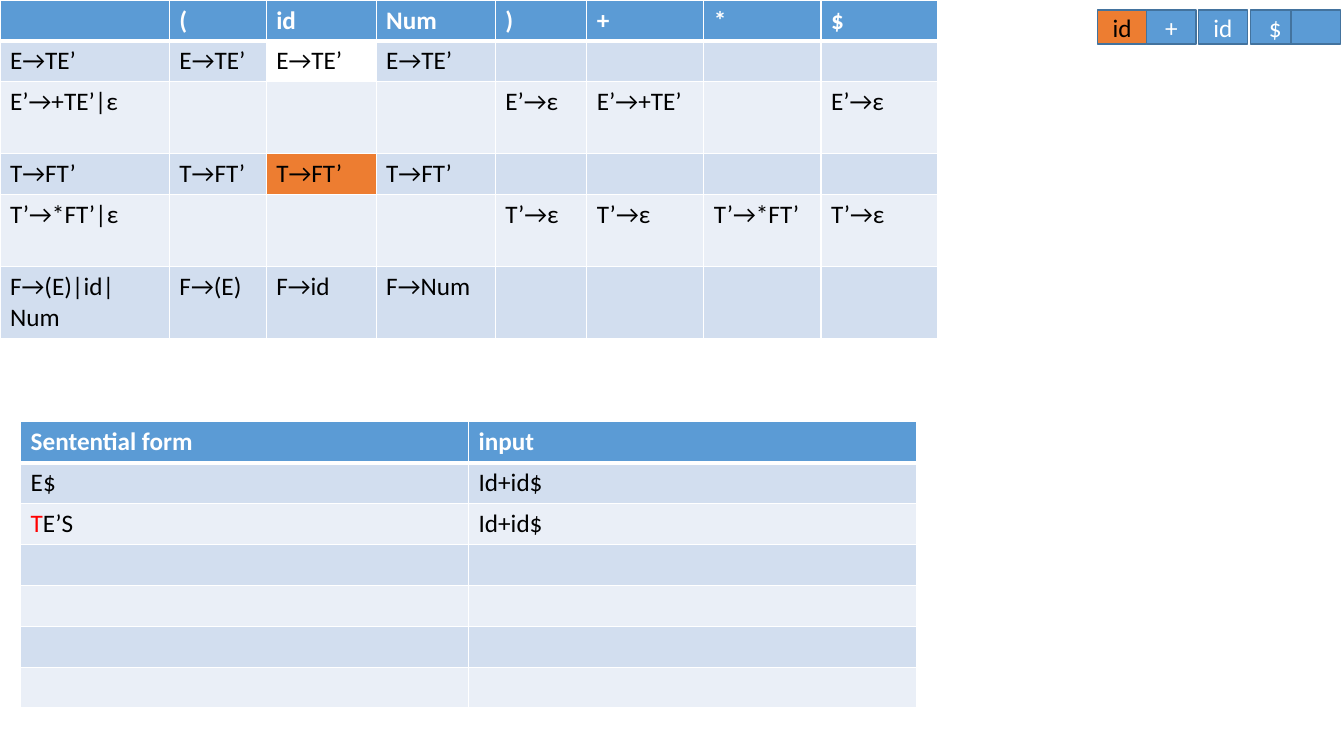
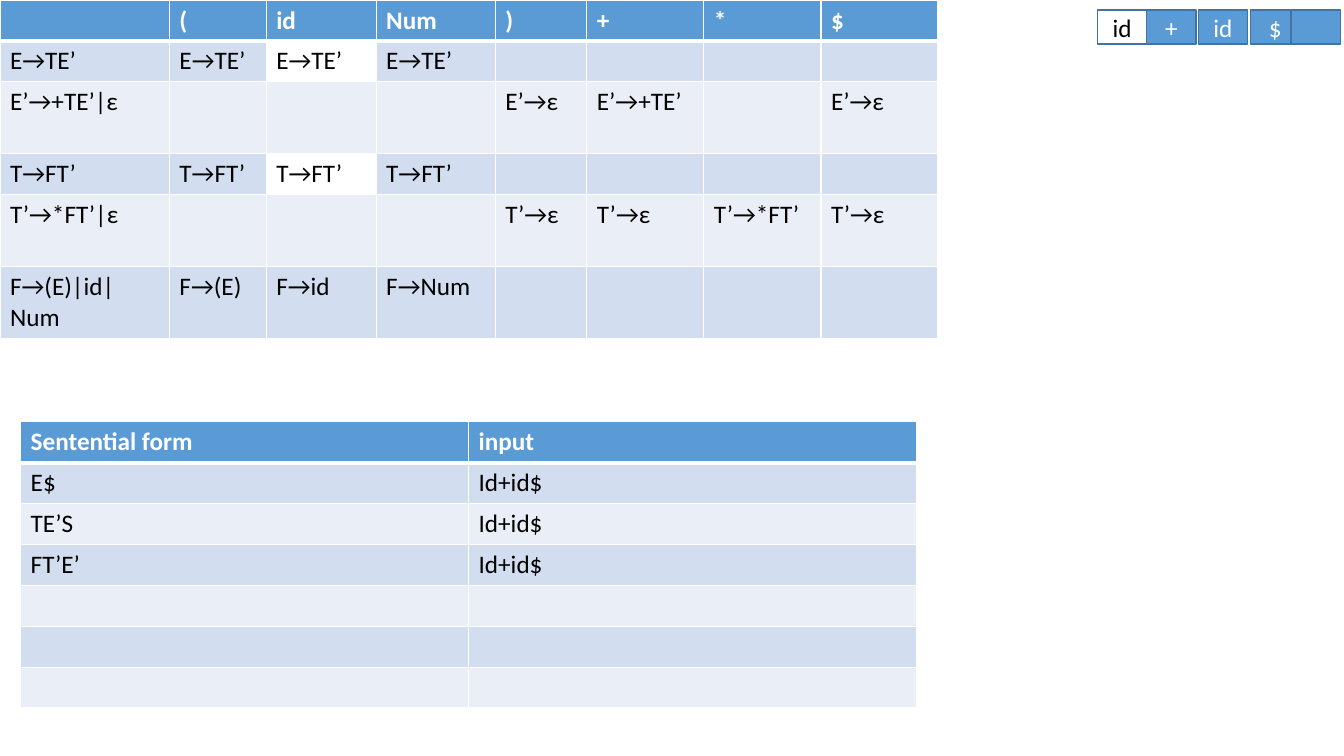
from lxml import etree
from pptx import Presentation
from pptx.dml.color import RGBColor
from pptx.enum.shapes import MSO_SHAPE
from pptx.enum.text import MSO_ANCHOR, PP_ALIGN
from pptx.oxml.ns import qn
from pptx.util import Cm, Pt

RECTANGLE = MSO_SHAPE.RECTANGLE
MIDDLE = MSO_ANCHOR.MIDDLE
CENTER = PP_ALIGN.CENTER

COLORS = {
    "white": "FFFFFF",
    "black": "000000",
    "red": "FF0000",
    "blue": "5B9BD5",
    "outline": "43739E",
    "odd_band": "D2DEEF",
    "even_band": "EAEFF7",
    "orange": "ED7D31",
}
BODY_FONT = {"name": "Calibri", "size": Pt(18), "bold": False}
HEADER_FONT = {**BODY_FONT, "bold": True}

ROW = 1.03
TALL_ROW = 1.81
PARSE_BOX = (0, 0)
PARSE_WIDTHS = [4.27, 2.44, 2.77, 3, 2.31, 2.95, 2.95, 2.95]
PARSE_HEIGHTS = [ROW, ROW, TALL_ROW, ROW, TALL_ROW, TALL_ROW]
PARSE_ROWS = [
    ["", "(", "id", "Num", ")", "+", "*", "$"],
    ["E→TE’", "E→TE’", "E→TE’", "E→TE’", "", "", "", ""],
    ["E’→+TE’|ε", "", "", "", "E’→ε", "E’→+TE’", "", "E’→ε"],
    ["T→FT’", "T→FT’", "T→FT’", "T→FT’", "", "", "", ""],
    ["T’→*FT’|ε", "", "", "", "T’→ε", "T’→ε", "T’→*FT’", "T’→ε"],
    ["F→(E)|id|Num", "F→(E)", "F→id", "F→Num", "", "", "", ""],
]

DERIVATION_BOX = (0.52, 10.63)
DERIVATION_WIDTHS = [11.29, 11.29]
DERIVATION_HEIGHTS = [ROW] * 7
DERIVATION_HEADER = ["Sentential form", "input"]

TAPE_BOX = (27.66, 0.25)
TOKEN_SIZE = (1.24, 0.86)
TOKENS = [("id", 0), ("+", 1.24), ("id", 2.54), ("$", 3.86), ("", 4.88)]

STEPS = [
    {
        "parse_fills": {(1, 2): "white", (3, 2): "orange"},
        "current_token": "orange",
        "derivation": [["E$", "Id+id$"], [[("T", "red"), ("E’S", "black")], "Id+id$"]],
    },
    {
        "parse_fills": {(1, 2): "white", (3, 2): "white"},
        "current_token": "white",
        "derivation": [["E$", "Id+id$"], ["TE’S", "Id+id$"], ["FT’E’", "Id+id$"]],
    },
]


def rgb(color):
    return RGBColor.from_string(COLORS[color])


def paint(fill, color):
    fill.solid()
    fill.fore_color.rgb = rgb(color)


def write(paragraph, content, color, font_format):
    runs = [(content, color)] if isinstance(content, str) else content
    for text, run_color in runs:
        if text:
            run = paragraph.add_run()
            run.text = text
            for attribute, value in font_format.items():
                setattr(run.font, attribute, value)
            run.font.color.rgb = rgb(run_color)


def add_borders(cell, row):
    properties = cell._tc.get_or_add_tcPr()
    widths = {"lnL": 1, "lnR": 1, "lnT": 3 if row == 1 else 1, "lnB": 3 if row == 0 else 1}
    for side, points in widths.items():
        line = etree.SubElement(properties, qn(f"a:{side}"), w=str(Pt(points)))
        solid = etree.SubElement(line, qn("a:solidFill"))
        etree.SubElement(solid, qn("a:srgbClr"), val=COLORS["white"])


def add_banded_table(slide, box, widths, heights, rows, fills):
    left, top = box
    table = slide.shapes.add_table(
        len(heights), len(widths), Cm(left), Cm(top), Cm(sum(widths)), Cm(sum(heights))
    ).table
    for column, width in zip(table.columns, widths):
        column.width = Cm(width)
    for r, height in enumerate(heights):
        table.rows[r].height = Cm(height)
        band = "blue" if r == 0 else "odd_band" if r % 2 else "even_band"
        color, font_format = ("white", HEADER_FONT) if r == 0 else ("black", BODY_FONT)
        for c in range(len(widths)):
            cell = table.cell(r, c)
            add_borders(cell, r)
            paint(cell.fill, fills.get((r, c), band))
            if r < len(rows):
                write(cell.text_frame.paragraphs[0], rows[r][c], color, font_format)


def add_input_tape(slide, box, current_color):
    left, top = box
    width, height = TOKEN_SIZE
    for position, (symbol, offset) in enumerate(TOKENS):
        token = slide.shapes.add_shape(
            RECTANGLE, Cm(left + offset), Cm(top), Cm(width), Cm(height)
        )
        token.shadow.inherit = False
        paint(token.fill, "blue" if position else current_color)
        token.line.color.rgb = rgb("outline")
        token.line.width = Pt(1)
        token.text_frame.vertical_anchor = MIDDLE
        paragraph = token.text_frame.paragraphs[0]
        paragraph.alignment = CENTER
        write(paragraph, symbol, "white" if position else "black", BODY_FONT)


def add_step_slide(deck, step):
    slide = deck.slides.add_slide(deck.slide_layouts[6])
    add_banded_table(
        slide, PARSE_BOX, PARSE_WIDTHS, PARSE_HEIGHTS, PARSE_ROWS, step["parse_fills"]
    )
    add_input_tape(slide, TAPE_BOX, step["current_token"])
    add_banded_table(
        slide, DERIVATION_BOX, DERIVATION_WIDTHS, DERIVATION_HEIGHTS,
        [DERIVATION_HEADER, *step["derivation"]], {},
    )


def main():
    deck = Presentation()
    deck.slide_width, deck.slide_height = Cm(33.87), Cm(19.05)
    for step in STEPS:
        add_step_slide(deck, step)
    deck.save("out.pptx")


if __name__ == "__main__":
    main()
